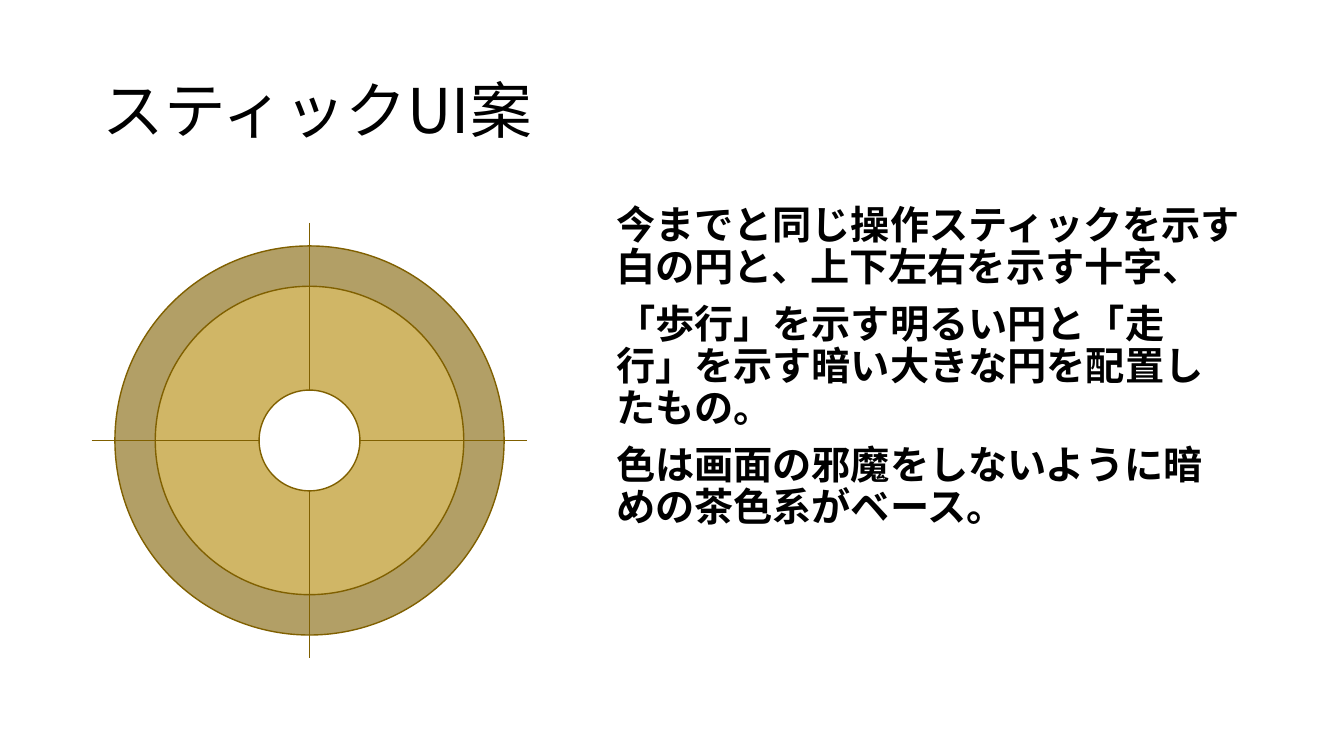
from lxml.etree import SubElement
from pptx import Presentation
from pptx.dml.color import RGBColor
from pptx.enum.shapes import MSO_CONNECTOR, MSO_SHAPE
from pptx.enum.text import MSO_ANCHOR, MSO_AUTO_SIZE, PP_ALIGN
from pptx.oxml.ns import qn
from pptx.util import Inches, Pt

FONT = "Noto Sans CJK JP"
COLORS = {
    "text": "000000",
    "outline": "806000",
    "run": "806000",
    "walk": "FFD966",
    "stick": "FFFFFF",
}
TITLE = "スティックUI案"
NOTES = [
    "今までと同じ操作スティックを示す白の円と、上下左右を示す十字、",
    "「歩行」を示す明るい円と「走行」を示す暗い大きな円を配置したもの。",
    "色は画面の邪魔をしないように暗\vめの茶色系がベース。",
]
TITLE_FORMAT = {"size": Pt(44), "bold": False}
NOTES_FORMAT = {"size": Pt(28), "bold": True}

# diameter in inches, opacity in percent
CIRCLES = {"run": (3.86, 60), "walk": (3.06, 40), "stick": (1, 100)}


def color(name):
    return RGBColor.from_string(COLORS[name])


def fill_placeholder(holder, box, lines, span_format, anchor, space_before):
    holder.left, holder.top, holder.width, holder.height = map(Inches, box)
    frame = holder.text_frame
    frame.text = "\n".join(lines)
    frame.auto_size = MSO_AUTO_SIZE.NONE
    frame.word_wrap = True
    frame.vertical_anchor = anchor
    para_format = {
        "alignment": PP_ALIGN.LEFT,
        "line_spacing": 0.9,
        "space_before": Pt(space_before),
    }
    for para in frame.paragraphs:
        for key, value in para_format.items():
            setattr(para, key, value)
        properties = para._p.get_or_add_pPr()
        properties.set("marL", "0")
        properties.set("indent", "0")
        SubElement(properties, qn("a:buNone"))
        for line_break in para._p.findall(qn("a:br")):
            size = str(int(span_format["size"].pt * 100))
            SubElement(line_break, qn("a:rPr"), sz=size)
        for span in para.runs:
            for key, value in {"name": FONT, **span_format}.items():
                setattr(span.font, key, value)
            span.font.color.rgb = color("text")
            SubElement(span.font._element, qn("a:ea"), typeface=FONT)


def draw_circle(page, name, center_x, center_y):
    size, opacity = CIRCLES[name]
    circle = page.shapes.add_shape(
        MSO_SHAPE.OVAL,
        Inches(center_x - size / 2),
        Inches(center_y - size / 2),
        Inches(size),
        Inches(size),
    )
    circle.shadow.inherit = False
    circle.fill.solid()
    circle.fill.fore_color.rgb = color(name)
    circle.line.color.rgb = color("outline")
    circle.line.width = Pt(1)
    if opacity < 100:
        tone = circle._element.spPr.find(qn("a:solidFill"))[0]
        SubElement(tone, qn("a:alpha"), val=str(opacity * 1000))


def draw_cross(page, box):
    left, top, width, height = box
    center_x, center_y = left + width / 2, top + height / 2
    for ends in (
        (left, center_y, left + width, center_y),
        (center_x, top, center_x, top + height),
    ):
        line = page.shapes.add_connector(
            MSO_CONNECTOR.STRAIGHT, *map(Inches, ends))
        line.line.color.rgb = color("outline")
        line.line.width = Pt(0.75)
        SubElement(line._element.spPr, qn("a:effectLst"))


def draw_stick(page, box):
    """Centre the circles in the box, with the cross under the white one."""
    left, top, width, height = box
    center = left + width / 2, top + height / 2
    draw_circle(page, "run", *center)
    draw_circle(page, "walk", *center)
    draw_cross(page, box)
    draw_circle(page, "stick", *center)


def main():
    deck = Presentation()
    deck.slide_width, deck.slide_height = Inches(13.33), Inches(7.5)
    page = deck.slides.add_slide(deck.slide_layouts[1])
    fill_placeholder(page.shapes.title, (0.92, 0.4, 11.5, 1.45), [TITLE],
                     TITLE_FORMAT, MSO_ANCHOR.MIDDLE, 0)
    fill_placeholder(page.placeholders[1], (6.01, 1.99, 6.41, 4.77), NOTES,
                     NOTES_FORMAT, MSO_ANCHOR.TOP, 10)
    draw_stick(page, (0.91, 2.21, 4.32, 4.32))
    deck.save("out.pptx")


if __name__ == "__main__":
    main()
